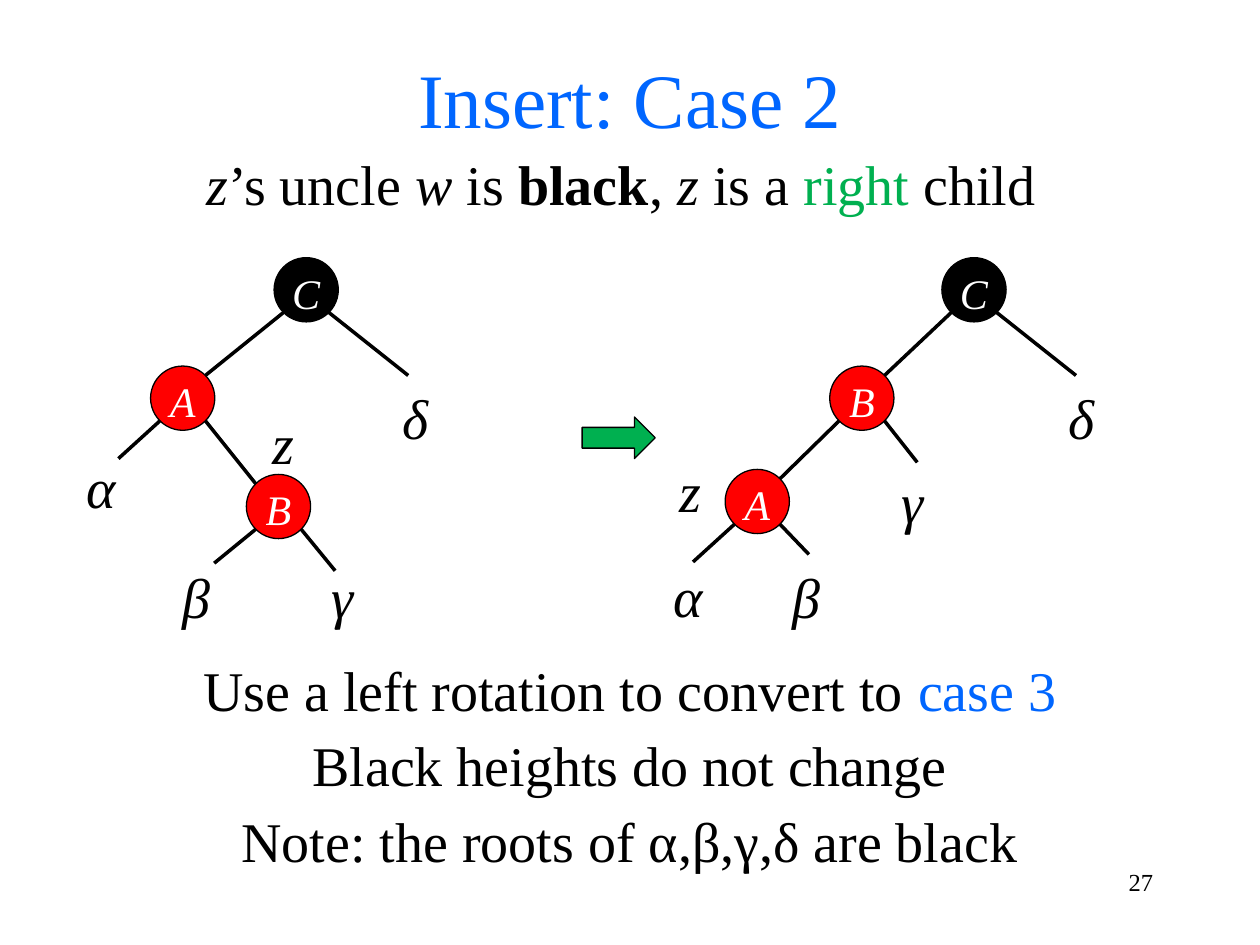
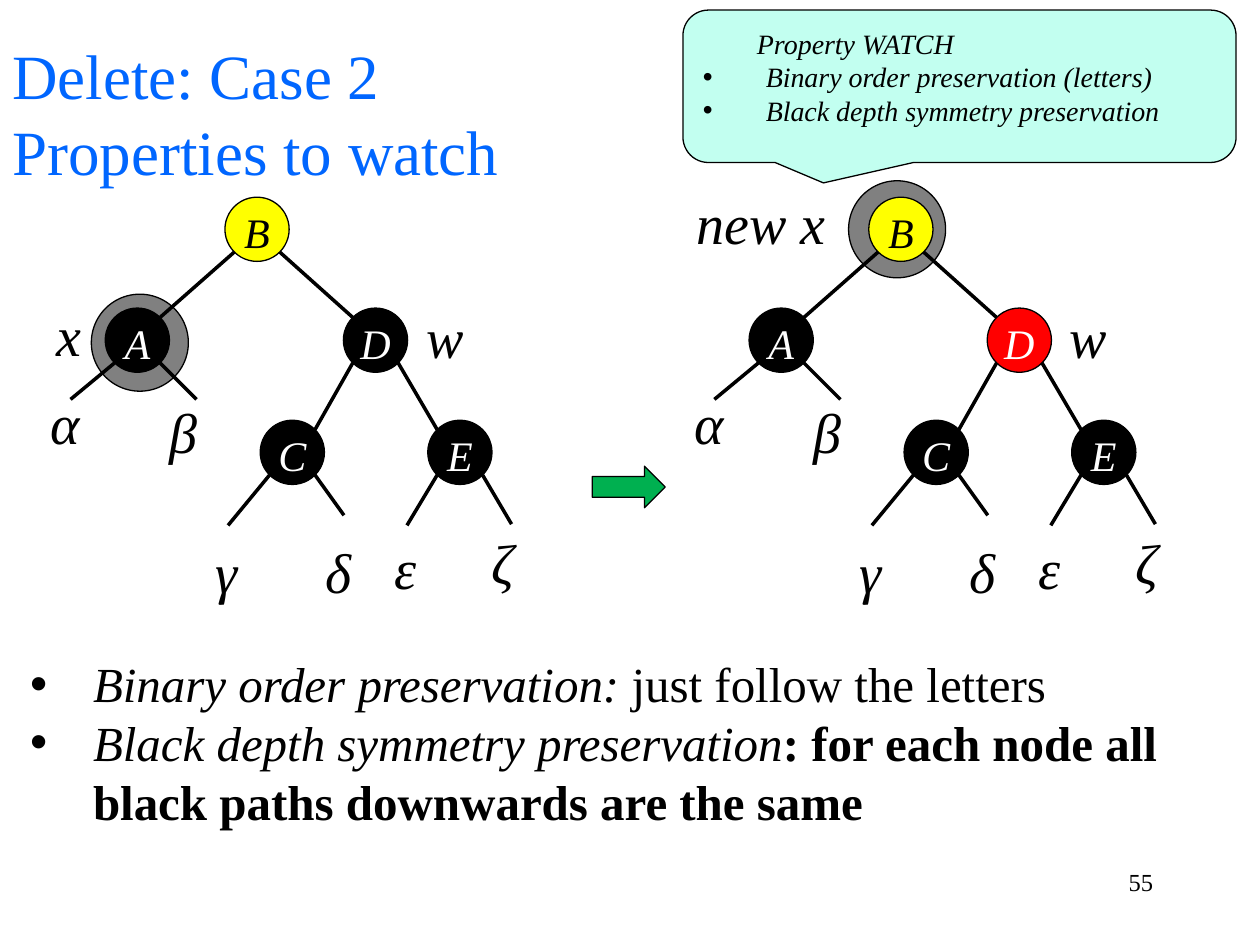
from lxml import etree
from pptx import Presentation
from pptx.dml.color import RGBColor
from pptx.enum.shapes import MSO_CONNECTOR, MSO_SHAPE
from pptx.enum.text import MSO_ANCHOR, PP_ALIGN
from pptx.oxml.ns import qn
from pptx.util import Inches, Pt

CIRCLE = MSO_SHAPE.OVAL
ARROW = MSO_SHAPE.RIGHT_ARROW
CALLOUT = MSO_SHAPE.ROUNDED_RECTANGULAR_CALLOUT
STRAIGHT = MSO_CONNECTOR.STRAIGHT
LEFT, CENTER, RIGHT = PP_ALIGN.LEFT, PP_ALIGN.CENTER, PP_ALIGN.RIGHT
TOP, MIDDLE = MSO_ANCHOR.TOP, MSO_ANCHOR.MIDDLE

COLORS = {
    "black": "000000", "white": "FFFFFF", "red": "FF0000",
    "yellow": "FFFF00", "gray": "808080", "green": "00B050",
    "blue": "0066FF", "mint": "C2FFF0",
}
FONT = "Times New Roman"
LINE_PITCH = 1.2
COLUMNS, ROWS = 10, 7.5
CELL = Inches(1)
NODE_SIZE, HALO_SIZE = 0.51, 0.77
EDGE_INSET = 0.18
LABEL_WIDTH, LABEL_HEIGHT = 1.5, 0.54
STATE_SHIFT = 5.11

ROTATION_BEFORE = {
    "nodes": {"C": (2.43, 2.3, "black"), "A": (1.45, 3.16, "red"),
              "B": (2.21, 4.02, "red")},
    "edges": ["CA", "AB"],
    "leaves": [("A", (0.94, 3.64), "α", (0.8, 3.86)),
               ("B", (1.7, 4.47), "β", (1.56, 4.73)),
               ("B", (2.66, 4.53), "γ", (2.72, 4.73)),
               ("C", (3.24, 2.98), "δ", (3.3, 3.31))],
    "marks": [("z", (2.25, 3.51))],
}
ROTATION_AFTER = {
    "nodes": {"C": (7.73, 2.3, "black"), "B": (6.84, 3.16, "red"),
              "A": (6.01, 3.98, "red")},
    "edges": ["CB", "BA"],
    "leaves": [("A", (5.5, 4.46), "α", (5.46, 4.72)),
               ("A", (6.42, 4.4), "β", (6.4, 4.73)),
               ("B", (7.28, 3.67), "γ", (7.24, 3.98)),
               ("C", (8.54, 2.98), "δ", (8.58, 3.31))],
    "marks": [("z", (5.48, 3.89))],
}
DELETION_BEFORE = {
    "nodes": {"B": (2.04, 1.82, "yellow"), "A": (1.09, 2.7, "black"),
              "D": (2.98, 2.7, "black"), "C": (2.32, 3.59, "black"),
              "E": (3.65, 3.59, "black")},
    "edges": ["BA", "BD", "DC", "DE"],
    "leaves": [("A", (0.56, 3.17), "α", (0.52, 3.35)),
               ("A", (1.56, 3.17), "β", (1.46, 3.42)),
               ("C", (1.81, 4.17), "γ", (1.8, 4.53)),
               ("C", (2.73, 4.09), "δ", (2.69, 4.53)),
               ("E", (3.23, 4.17), "ε", (3.22, 4.5)),
               ("E", (4.06, 4.16), "ζ", (3.99, 4.46))],
    "marks": [("x", (0.55, 2.65)), ("w", (3.53, 2.67))],
    "halo": (1.11, 2.72),
}
DELETION_AFTER = {
    **DELETION_BEFORE,
    "nodes": {**DELETION_BEFORE["nodes"], "D": (2.98, 2.7, "red")},
    "marks": [("new x", (0.93, 1.76)), ("w", (3.53, 2.67))],
    "halo": (2.01, 1.82),
}


def grid(*cells):
    return [round(cell * CELL) for cell in cells]


def rgb(color):
    return RGBColor.from_string(COLORS[color])


def add_bullet(paragraph):
    properties = paragraph._p.get_or_add_pPr()
    properties.set("marL", str(Inches(0.5)))
    properties.set("indent", str(-Inches(0.5)))
    etree.SubElement(properties, qn("a:buFont"), typeface="Arial")
    etree.SubElement(properties, qn("a:buChar"), char="•")


def write(frame, paragraphs, size, align=LEFT, anchor=TOP, insets=(0.1, 0.05),
          bulleted=()):
    frame.word_wrap = True
    frame.vertical_anchor = anchor
    frame.margin_left = frame.margin_right = Inches(insets[0])
    frame.margin_top = frame.margin_bottom = Inches(insets[1])
    for index, pieces in enumerate(paragraphs):
        paragraph = frame.paragraphs[0] if index == 0 else frame.add_paragraph()
        if index in bulleted:
            add_bullet(paragraph)
        paragraph.alignment = align
        paragraph.line_spacing = Pt(size * LINE_PITCH)
        for words, color, style in pieces:
            run = paragraph.add_run()
            run.text = words
            run.font.name = FONT
            run.font.size = Pt(size)
            run.font.color.rgb = rgb(color)
            run.font.italic = "i" in style
            run.font.bold = "b" in style


def add_text(shapes, place, paragraphs, size, **layout):
    box = shapes.add_textbox(*grid(*place))
    write(box.text_frame, paragraphs, size, **layout)


def add_outlined(shapes, kind, place, fill):
    outlined = shapes.add_shape(kind, *grid(*place))
    outlined.shadow.inherit = False
    outlined.fill.solid()
    outlined.fill.fore_color.rgb = rgb(fill)
    outlined.line.color.rgb = rgb("black")
    outlined.line.width = Pt(0.75)
    return outlined


def add_circle(shapes, x, y, size, fill):
    place = (x - size / 2, y - size / 2, size, size)
    return add_outlined(shapes, CIRCLE, place, fill)


def add_node(shapes, letter, x, y, fill):
    node = add_circle(shapes, x, y, NODE_SIZE, fill)
    ink = "black" if fill == "yellow" else "white"
    write(node.text_frame, [[(letter, ink, "i")]], 24, align=CENTER, insets=(0, 0))


def add_edge(shapes, start, end):
    edge = shapes.add_connector(STRAIGHT, *grid(*start, *end))
    edge.line.color.rgb = rgb("black")
    edge.line.width = Pt(2)
    etree.SubElement(edge._element.spPr, qn("a:effectLst"))


def add_label(shapes, symbol, x, y):
    place = (x - LABEL_WIDTH / 2, y - LABEL_HEIGHT / 2, LABEL_WIDTH, LABEL_HEIGHT)
    add_text(shapes, place, [[(symbol, "black", "i")]], 32, align=CENTER,
             anchor=MIDDLE, insets=(0, 0))


def add_tree(slide, tree, shift=0):
    shapes = slide.shapes.add_group_shape().shapes
    nodes = {letter: (x + shift, y, fill)
             for letter, (x, y, fill) in tree["nodes"].items()}

    def below(letter, target_x):
        x, y, _ = nodes[letter]
        side = 1 if target_x > x else -1
        return x + side * EDGE_INSET, y + EDGE_INSET

    if "halo" in tree:
        x, y = tree["halo"]
        add_circle(shapes, x + shift, y, HALO_SIZE, "gray")
    for letter, node in nodes.items():
        add_node(shapes, letter, *node)
    for parent, child in tree["edges"]:
        x, y, _ = nodes[child]
        side = 1 if nodes[parent][0] > x else -1
        add_edge(shapes, below(parent, x),
                 (x + side * EDGE_INSET, y - EDGE_INSET))
    for parent, (tip_x, tip_y), symbol, (x, y) in tree["leaves"]:
        tip_x += shift
        add_edge(shapes, below(parent, tip_x), (tip_x, tip_y))
        add_label(shapes, symbol, x + shift, y)
    for symbol, (x, y) in tree["marks"]:
        add_label(shapes, symbol, x + shift, y)


def add_step_arrow(slide, left, top):
    add_outlined(slide.shapes, ARROW, (left, top, 0.58, 0.33), "green")


def add_title(slide, lines, top, height, size, align):
    add_text(slide.shapes, (0, top, COLUMNS, height),
             [[(line, "blue", "")] for line in lines], size, align=align)


def add_page_number(slide, number):
    add_text(slide.shapes, (7.17, 6.83, 2.08, 0.5),
             [[(str(number), "black", "")]], 14, align=RIGHT)


def new_slide(deck, number):
    slide = deck.slides.add_slide(deck.slide_layouts[6])
    add_page_number(slide, number)
    return slide


def build_insert_case(deck):
    slide = new_slide(deck, 27)
    add_tree(slide, ROTATION_BEFORE)
    add_tree(slide, ROTATION_AFTER)
    add_step_arrow(slide, 4.62, 3.31)
    conclusions = [
        [("Use a left rotation to convert to ", "black", ""), ("case 3", "blue", "")],
        [("Black heights do not change", "black", "")],
        [("Note: the roots of α,β,γ,δ are black", "black", "")],
    ]
    for row, conclusion in enumerate(conclusions):
        add_text(slide.shapes, (0, 5.15 + 0.6 * row, COLUMNS, 0.64),
                 [conclusion], 32, align=CENTER)
    add_title(slide, ["Insert: Case 2"], 0.36, 1.02, 44, CENTER)
    condition = [
        ("z", "black", "i"), ("’s uncle ", "black", ""), ("w", "black", "i"),
        (" is ", "black", ""), ("black", "black", "b"), (", ", "black", ""),
        ("z", "black", "i"), (" is a ", "black", ""), ("right", "green", ""),
        (" child", "black", ""),
    ]
    add_text(slide.shapes, (-0.07, 1.14, COLUMNS, 0.64), [condition], 32,
             align=CENTER)


def add_property_callout(slide):
    callout = add_outlined(slide.shapes, CALLOUT, (5.42, 0.08, 4.39, 1.21), "mint")
    for index, value in enumerate((-0.246, 0.634, 0.167)):
        callout.adjustments[index] = value
    reminders = ["Property WATCH", "Binary order preservation (letters)",
                 "Black depth symmetry preservation"]
    write(callout.text_frame, [[(line, "black", "i")] for line in reminders], 16,
          insets=(0.1, 0.07), bulleted=(1, 2))
    heading = callout.text_frame.paragraphs[0]
    heading._p.get_or_add_pPr().set("marL", str(Inches(0.43)))


def build_delete_case(deck):
    slide = new_slide(deck, 55)
    add_step_arrow(slide, 4.7, 3.7)
    add_title(slide, ["Delete: Case 2", "Properties to watch"], 0.24, 1.25, 36, LEFT)
    properties = [
        [("Binary order preservation: ", "black", "i"),
         ("just follow the letters", "black", "")],
        [("Black depth symmetry preservation", "black", "i"),
         (": for each node all black paths downwards are the same", "black", "b")],
    ]
    add_text(slide.shapes, (0.14, 5.14, COLUMNS - 0.14, 1.51), properties, 28,
             bulleted=(0, 1))
    add_tree(slide, DELETION_BEFORE)
    add_tree(slide, DELETION_AFTER, STATE_SHIFT)
    add_property_callout(slide)


def main():
    deck = Presentation()
    deck.slide_width, deck.slide_height = grid(COLUMNS, ROWS)
    build_insert_case(deck)
    build_delete_case(deck)
    deck.save("out.pptx")


if __name__ == "__main__":
    main()
